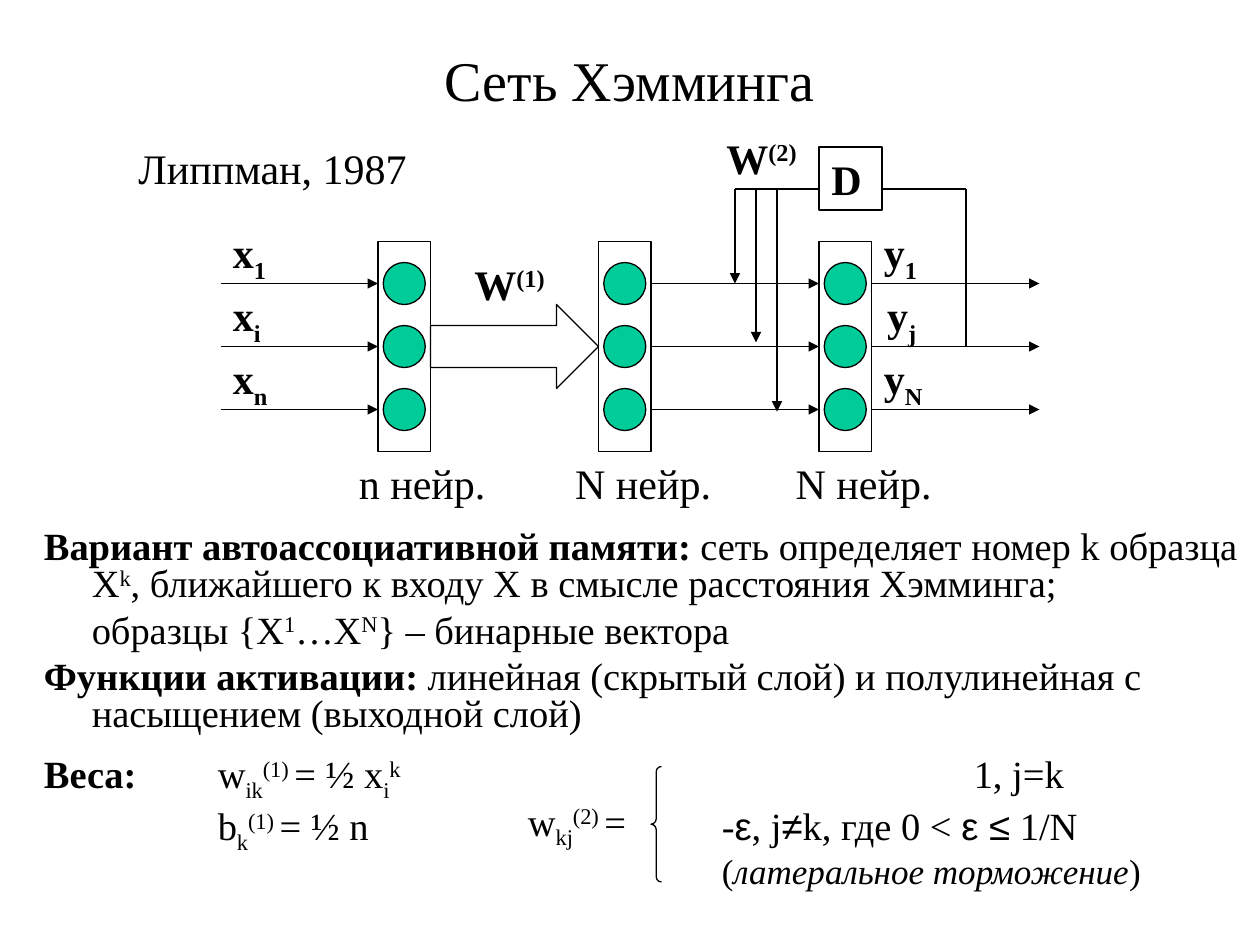
from dataclasses import dataclass
from typing import NamedTuple

from lxml.etree import SubElement
from pptx import Presentation
from pptx.dml.color import RGBColor as Rgb
from pptx.enum.shapes import MSO_CONNECTOR as Conn, MSO_SHAPE as Geom
from pptx.enum.text import MSO_ANCHOR as Anchor, PP_ALIGN as Align
from pptx.oxml.ns import qn
from pptx.util import Inches, Pt


@dataclass(frozen=True)
class Theme:
    ink: Rgb = Rgb(0, 0, 0)
    node: Rgb = Rgb(0x00, 0xCC, 0x99)
    face: str = "Times New Roman"
    greek: str = "Arial"
    title: int = 32
    label: int = 24
    body: int = 22
    note: int = 20
    line: float = 0.75


class Run(NamedTuple):
    text: str
    bold: bool = False
    italic: bool = False
    base: int = 0
    face: str = ""


class Box(NamedTuple):
    """Left, top, width and height in grid cells."""
    col: float
    row: float
    wide: float
    high: float


class Para(NamedTuple):
    runs: list[Run]
    size: int
    before: float = 5.5
    after: float = 0


class Layer(NamedTuple):
    col: int
    name: str
    shift: float


THEME = Theme()
COLS, ROWS = 120, 90
WIDE, HIGH = Inches(10), Inches(7.5)
INDENT = Inches(0.38)
TABS = range(8)
NODES = (27, 33, 39)
LAYERS = (Layer(36, "n нейр.", -3), Layer(57, "N нейр.", -3.4),
          Layer(78, "N нейр.", -3.4))
TOP, TALL, THICK = 23, 20, 5

deck = Presentation()
deck.slide_width, deck.slide_height = WIDE, HIGH
slide = deck.slides.add_slide(deck.slide_layouts[6])
shapes = slide.shapes


def x(col: float) -> int:
    return round(WIDE * col / COLS)


def y(row: float) -> int:
    return round(HIGH * row / ROWS)


def place(box: Box) -> tuple[int, int, int, int]:
    return x(box.col), y(box.row), x(box.wide), y(box.high)


def sup(text: str, **form) -> Run:
    return Run(text, base=30000, **form)


def sub(text: str, **form) -> Run:
    return Run(text, base=-25000, **form)


def write(para, runs: list[Run], size: int, align=Align.LEFT) -> None:
    para.alignment = align
    for part in runs:
        run = para.add_run()
        run.text = part.text
        font = run.font
        font.name, font.size = part.face or THEME.face, Pt(size)
        font.bold, font.italic = part.bold, part.italic
        font.color.rgb = THEME.ink
        if part.base:
            run._r.get_or_add_rPr().set("baseline", str(part.base))


def label(box: Box, *runs: Run, size=THEME.label, align=Align.LEFT,
          anchor=Anchor.TOP) -> None:
    frame = shapes.add_textbox(*place(box)).text_frame
    frame.word_wrap, frame.vertical_anchor = True, anchor
    write(frame.paragraphs[0], runs, size, align)


def shape(kind: Geom, box: Box, fill: Rgb | None = None):
    item = shapes.add_shape(kind, *place(box))
    item.shadow.inherit = False
    if fill is None:
        item.fill.background()
    else:
        item.fill.solid()
        item.fill.fore_color.rgb = fill
    item.line.color.rgb, item.line.width = THEME.ink, Pt(THEME.line)
    return item


def wire(c1: float, r1: float, c2: float, r2: float, head: bool = True):
    link = shapes.add_connector(Conn.STRAIGHT, x(c1), y(r1), x(c2), y(r2))
    link.line.color.rgb, link.line.width = THEME.ink, Pt(THEME.line)
    if head:
        SubElement(link.line._get_or_add_ln(), qn("a:tailEnd"), type="triangle")
    SubElement(link._element.spPr, qn("a:effectLst"))
    return link


def layer(item: Layer):
    rect = shape(Geom.RECTANGLE, Box(item.col, TOP, THICK, TALL))
    for row in NODES:
        shape(Geom.OVAL, Box(item.col + 0.5, row - 2, 4, 4), THEME.node)
    label(Box(item.col + item.shift, 43, 17, 6), Run(item.name))
    return rect


def fan(start: int, stop: int, source=None, target=None) -> None:
    """Draw one arrow per node row; the middle one joins the layers."""
    for row in NODES:
        link = wire(start, row, stop, row)
        if row == NODES[1]:
            if source is not None:
                link.begin_connect(source, 3)
            if target is not None:
                link.end_connect(target, 1)


def body(box: Box, paras: list[Para]) -> None:
    frame = shapes.add_textbox(*place(box)).text_frame
    frame.word_wrap = True
    for i, item in enumerate(paras):
        para = frame.add_paragraph() if i else frame.paragraphs[0]
        props = para._p.get_or_add_pPr()
        props.set("marL", str(INDENT))
        props.set("indent", str(-INDENT))
        props.set("defTabSz", str(Inches(1)))
        stops = SubElement(props, qn("a:tabLst"))
        for inch in TABS:
            SubElement(stops, qn("a:tab"), pos=str(Inches(inch)), algn="l")
        para.line_spacing = 0.8
        para.space_before = Pt(item.before if i else 0)
        para.space_after = Pt(item.after)
        write(para, item.runs, item.size)


label(Box(9, 2, 102, 11), Run("Сеть Хэмминга"), size=THEME.title,
      align=Align.CENTER, anchor=Anchor.MIDDLE)
label(Box(12, 13, 31, 6), Run("Липпман, 1987"))

first, hidden, last = [layer(item) for item in LAYERS]
fan(21, 36, target=first)
fan(62, 78, source=hidden, target=last)
fan(83, 99, source=last)
shape(Geom.RIGHT_ARROW, Box(41, 29, 16, 8))

for row, left, right in zip(NODES, "1in", "1jN"):
    label(Box(21, row - 6, 8, 6.7), Run("x", bold=True), sub(left, bold=True))
    nudge = 0.3 if right == "j" else 0
    label(Box(83 + nudge, row - 6, 8, 6.7), Run("y", bold=True),
          sub(right, bold=True))
for col, row, mark in ((44, 24, "(1)"), (68, 12, "(2)")):
    label(Box(col, row, 10, 6), Run("W", bold=True), sup(mark, bold=True))

delay = shape(Geom.RECTANGLE, Box(78, 14, 6, 6))
delay.text_frame.vertical_anchor = Anchor.TOP
write(delay.text_frame.paragraphs[0], [Run("D", bold=True)], THEME.label)
for ends in ((78, 18, 70, 18), (84, 18, 92, 18), (92, 33, 92, 18)):
    wire(*ends, head=False)
for col, row in ((70, 27), (72, 32.6), (74, 39.2)):
    wire(col, 18, col, row)

body(Box(3, 50, 117, 38), [
    Para([Run("Вариант автоассоциативной памяти:", bold=True),
          Run(" сеть определяет номер k образца X"), sup("k"),
          Run(", ближайшего к входу X в смысле расстояния Хэмминга;")], THEME.body),
    Para([Run("\tобразцы {X"), sup("1"), Run("…X"), sup("N"),
          Run("} – бинарные вектора")], THEME.body),
    Para([Run("Функции активации:", bold=True),
          Run(" линейная (скрытый слой) и полулинейная с насыщением (выходной слой)")],
         THEME.body, after=6),
    Para([Run("Веса: \t", bold=True), Run("w"), sub("ik"), sup("(1) "), Run("= ½ x"),
          sub("i"), sup("k\t\t\t\t\t"), Run("1, j=k")], THEME.body),
    Para([Run("\t\tb"), sub("k"), sup("(1) "), Run("= ½ n\t\t\t-"),
          Run("ε", face=THEME.greek), Run(", j"), Run("≠", face=THEME.greek),
          Run("k, где 0 < "), Run("ε ≤", face=THEME.greek), Run(" 1/N")], THEME.body),
    Para([Run("\t\t\t\t\t\t("), Run("латеральное торможение", italic=True), Run(")")],
         THEME.note, before=5),
])
brace = shape(Geom.LEFT_BRACE, Box(62, 73, 1, 11))
brace.adjustments[0] = 0.5
label(Box(49.1, 75.4, 13, 6.2), Run("w"), sub("kj"), sup("(2) "), Run("="),
      size=THEME.body)

deck.save("out.pptx")
